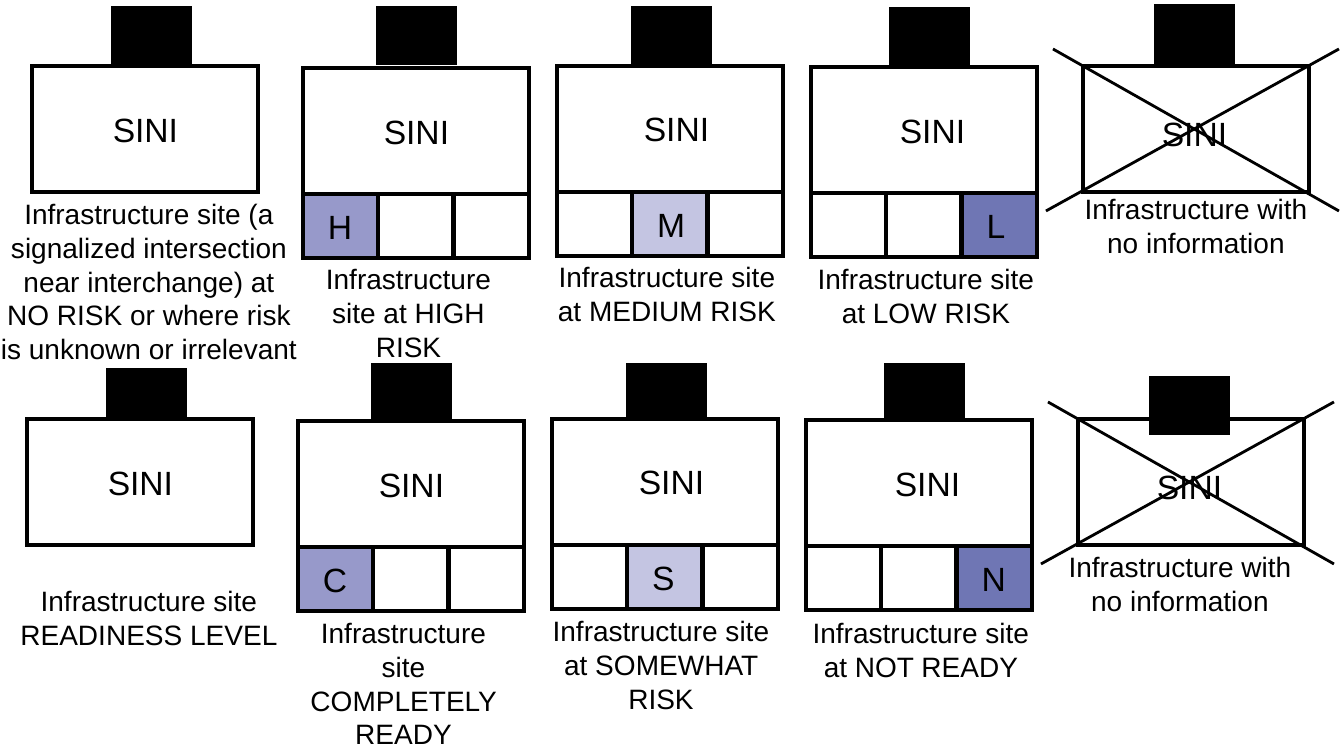
import dataclasses

import lxml.etree
import pptx
import pptx.dml.color
import pptx.enum.shapes
import pptx.enum.text
import pptx.oxml.ns
import pptx.util

PIXEL = 914400 / 100.8


@dataclasses.dataclass(frozen=True)
class Theme:
    font: str = "Arial"
    black: str = "000000"
    high: str = "9799CA"
    medium: str = "C4C5E2"
    low: str = "6F76B4"
    label_size: int = 24
    caption_size: int = 20
    outline: int = 3
    cross: int = 2


theme = Theme()
color = pptx.dml.color.RGBColor.from_string
qn = pptx.oxml.ns.qn


def add_text(text, left, top, width, height, size=theme.label_size, align="CENTER"):
    shape = slide.shapes.add_textbox(*[round(value * PIXEL) for value in (left, top, width, height)])
    frame = shape.text_frame
    frame.word_wrap = True
    frame.auto_size = pptx.enum.text.MSO_AUTO_SIZE.SHAPE_TO_FIT_TEXT
    paragraph = frame.paragraphs[0]
    paragraph.alignment = pptx.enum.text.PP_ALIGN[align]
    run = paragraph.add_run()
    run.text = text
    run.font.name = theme.font
    run.font.size = pptx.util.Pt(size)
    run.font.color.rgb = color(theme.black)


def add_box(left, top, width, height, fill=None):
    shape = slide.shapes.add_shape(
        pptx.enum.shapes.MSO_SHAPE.RECTANGLE,
        *[round(value * PIXEL) for value in (left, top, width, height)])
    shape.shadow.inherit = False
    if fill:
        shape.fill.solid()
        shape.fill.fore_color.rgb = color(fill)
    else:
        shape.fill.background()
    shape.line.color.rgb = color(theme.black)
    shape.line.width = pptx.util.Pt(theme.outline)
    line = shape.element.spPr.find(qn("a:ln"))
    lxml.etree.SubElement(line, qn("a:miter"), lim="800000")


presentation = pptx.Presentation()
presentation.slide_width = round(1344 * PIXEL)
presentation.slide_height = round(756 * PIXEL)
slide = presentation.slides.add_slide(presentation.slide_layouts[6])

# Sites of one row: left, top, tab offset, name offset, marked cell and its fill
BOX_WIDTH, BOX_HEIGHT = 226, 126
CELL_COUNT, CELL_HEIGHT = 3, 64
CELL_WIDTH = BOX_WIDTH / CELL_COUNT
TAB_WIDTH = 77
sites = [
    (32, 66, 81, (41, 38), None, None),
    (303, 68, 75, (41, 38), 0, theme.high),
    (557, 66, 76, (47, 37), 1, theme.medium),
    (811, 67, 80, (49, 38), 2, theme.low),
    (1083, 66, 73, (39, 42), None, None),
]

# Rows: shift, then per site the letter, tab top and height, caption place and text
rows = [
    (0, 0, [
        (None, 8, 57, (-10, 192, 318, 179),
         "Infrastructure site (a signalized intersection near interchange) "
         "at NO RISK or where risk is unknown or irrelevant"),
        ("H", 8, 55, (298, 257, 221, 112), "Infrastructure site at HIGH RISK"),
        ("M", 8, 54, (538, 255, 258, 78), "Infrastructure site at MEDIUM RISK"),
        ("L", 9, 54, (797, 257, 258, 78), "Infrastructure site at LOW RISK"),
        (None, 6, 59, (1067, 187, 258, 78), "Infrastructure with no information"),
    ]),
    (-5, 353, [
        (None, 370, 49, (-10, 579, 318, 78), "Infrastructure site READINESS LEVEL"),
        ("C", 365, 52, (293, 611, 221, 146), "Infrastructure site COMPLETELY READY"),
        ("S", 365, 50, (532, 609, 258, 112), "Infrastructure site at SOMEWHAT RISK"),
        ("N", 365, 51, (792, 611, 258, 78), "Infrastructure site at NOT READY"),
        (None, 378, 55, (1051, 545, 258, 78), "Infrastructure with no information"),
    ]),
]
cross_lines = [(1046, 211, 1339, 49), (1053, 49, 1339, 211)]

for shift_x, shift_y, entries in rows:
    for site, entry in zip(sites, entries):
        site_left, site_top, tab_offset, name_offset, marked, fill = site
        letter, tab_top, tab_height, caption_place, caption = entry
        left, top = site_left + shift_x, site_top + shift_y

        # Site box with its tab
        add_box(left, top, BOX_WIDTH, BOX_HEIGHT)
        add_box(left + tab_offset, tab_top, TAB_WIDTH, tab_height, fill=theme.black)

        # Level cells with the letter in the marked one
        if letter:
            cell_top = top + BOX_HEIGHT
            for index in range(CELL_COUNT):
                add_box(left + index * CELL_WIDTH, cell_top, CELL_WIDTH, CELL_HEIGHT,
                        fill=fill if index == marked else None)
            add_text(letter, left + marked * CELL_WIDTH + 15, cell_top + 7, 55, 50, align="LEFT")

        # Name and caption
        add_text("SINI", left + name_offset[0], top + name_offset[1], 145, 50)
        add_text(caption, *caption_place, size=theme.caption_size)

    # Cross over the site without information
    for start_x, start_y, end_x, end_y in cross_lines:
        points = (start_x + shift_x, start_y + shift_y, end_x + shift_x, end_y + shift_y)
        connector = slide.shapes.add_connector(
            pptx.enum.shapes.MSO_CONNECTOR.STRAIGHT, *[round(value * PIXEL) for value in points])
        connector.line.color.rgb = color(theme.black)
        connector.line.width = pptx.util.Pt(theme.cross)
        lxml.etree.SubElement(connector.element.spPr, qn("a:effectLst"))

presentation.save("out.pptx")
